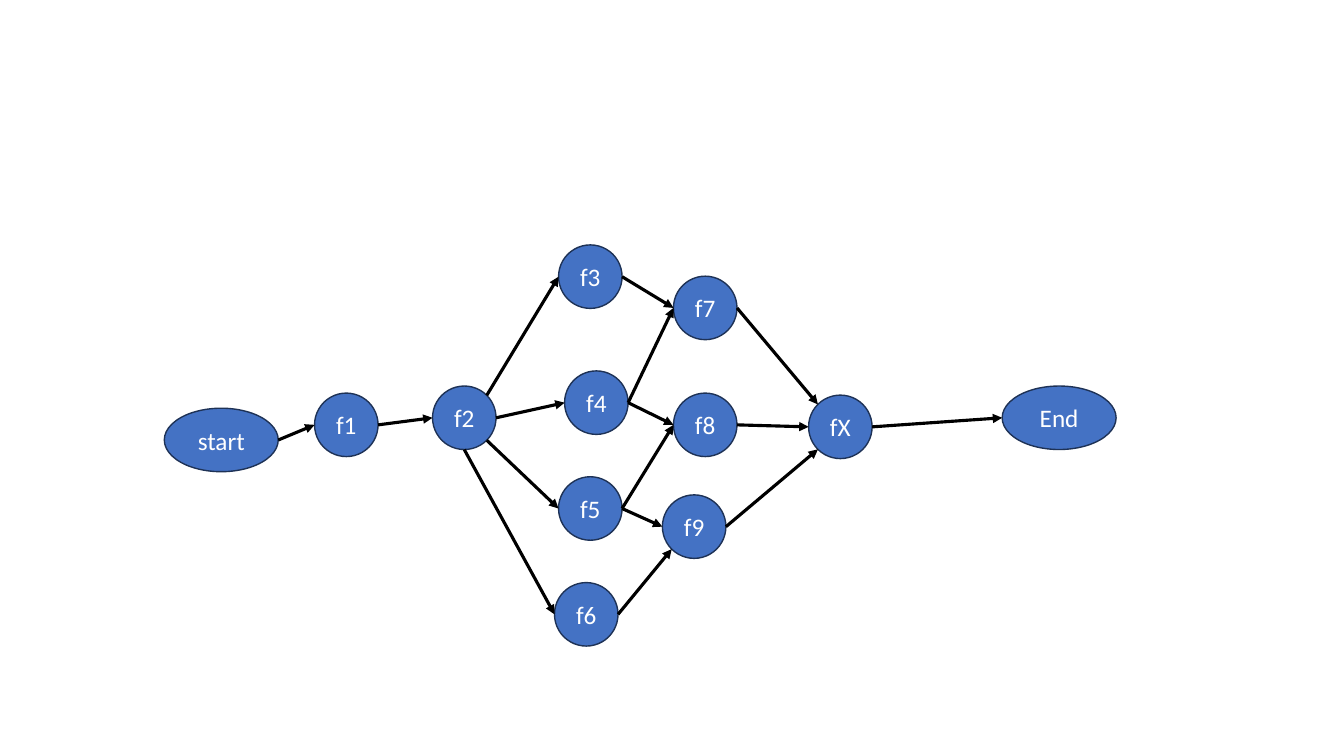
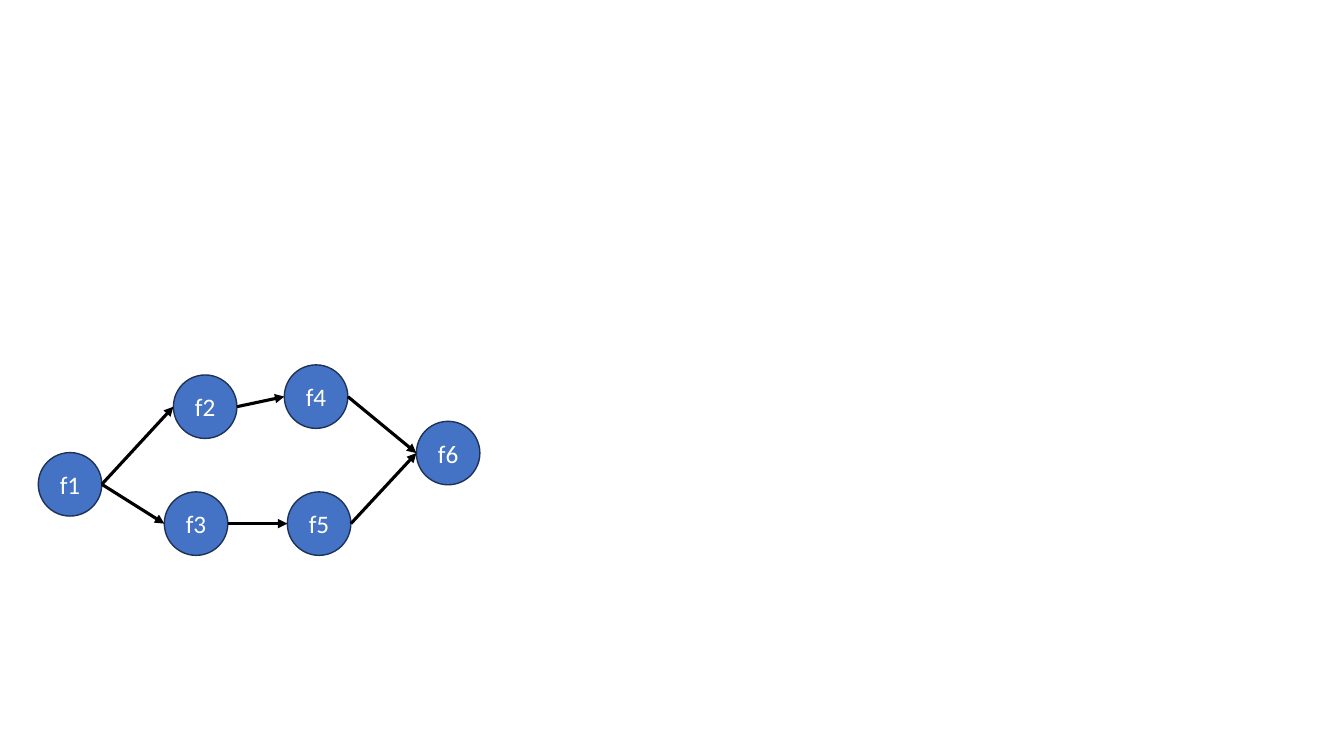
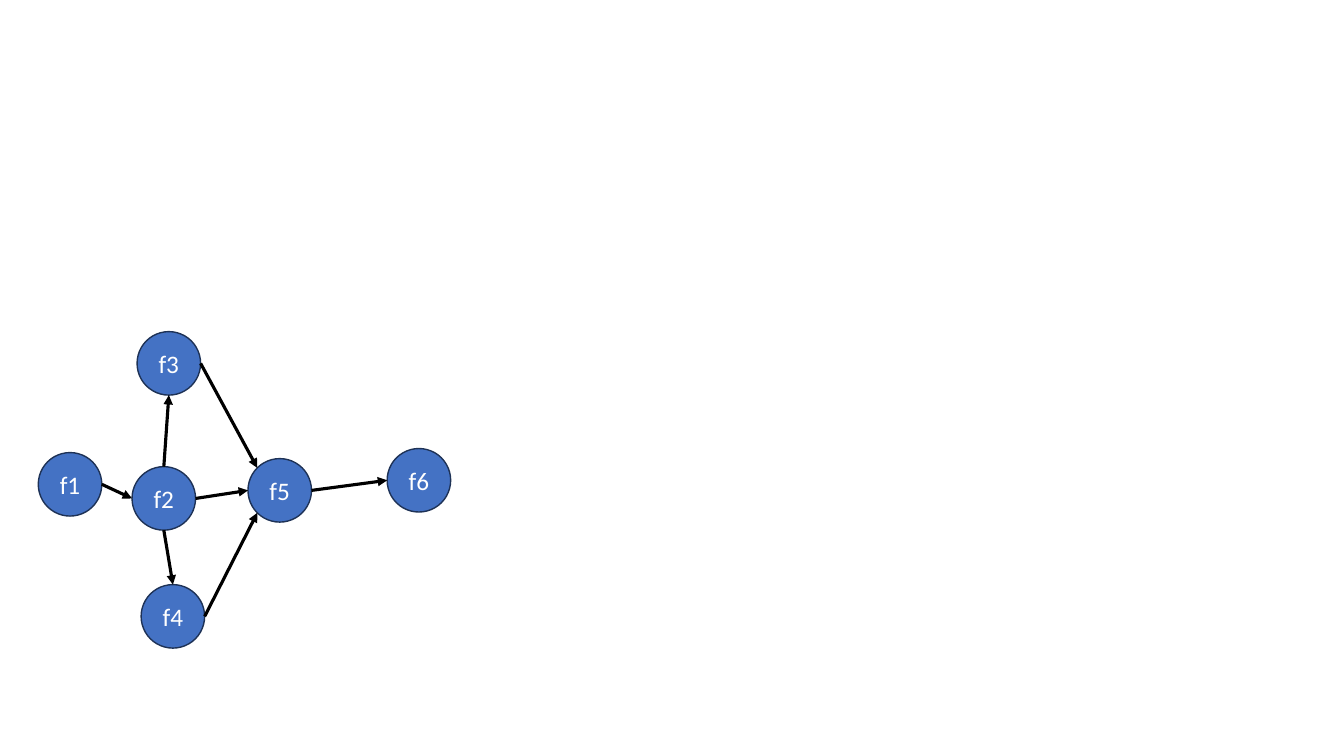
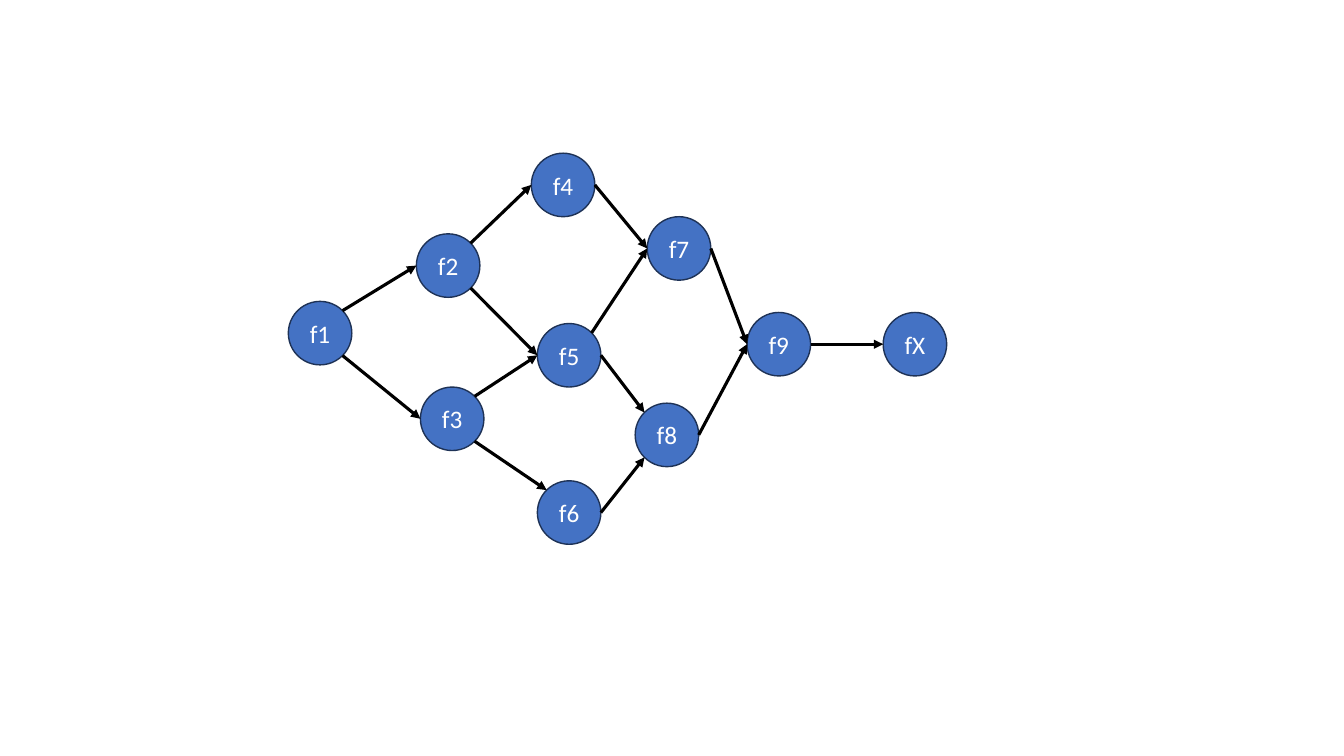
from dataclasses import dataclass
from enum import IntEnum
from math import cos, radians, sin

from pptx import Presentation
from pptx.dml.color import RGBColor
from pptx.enum.shapes import MSO_CONNECTOR as Line, MSO_SHAPE as Form
from pptx.enum.text import MSO_ANCHOR as Anchor, PP_ALIGN as Align
from pptx.oxml.ns import qn
from pptx.shapes.autoshape import Shape
from pptx.slide import Slide
from pptx.util import Inches, Pt
from lxml.etree import SubElement

BLUE = RGBColor(0x44, 0x72, 0xC4)
NAVY = RGBColor(0x1E, 0x32, 0x56)
BLACK = RGBColor(0, 0, 0)
WHITE = RGBColor(255, 255, 255)
FONT = "Calibri"
SIZE = 0.63
WIDE = 1.13


class Site(IntEnum):
    """Connection sites of an ellipse, counterclockwise from the top."""

    TOP = 0
    NW = 1
    LEFT = 2
    SW = 3
    BASE = 4
    SE = 5
    RIGHT = 6
    NE = 7


@dataclass(frozen=True)
class Node:
    """An oval step of a graph, placed in inches."""

    name: str
    left: float
    top: float
    width: float = SIZE


@dataclass(frozen=True)
class Edge:
    """An arrow between two named nodes."""

    tail: str
    head: str
    start: Site = Site.RIGHT
    end: Site = Site.LEFT


@dataclass(frozen=True)
class Graph:
    """The nodes and edges of one slide."""

    nodes: list[Node]
    edges: list[Edge]


GRAPHS = [
    Graph(
        [
            Node("start", 1.63, 4.05, WIDE),
            Node("f1", 3.12, 3.9),
            Node("f2", 4.29, 3.83),
            Node("f3", 5.54, 2.43),
            Node("f4", 5.6, 3.68),
            Node("f5", 5.54, 4.73),
            Node("f6", 5.5, 5.78),
            Node("f7", 6.68, 2.74),
            Node("f8", 6.68, 3.9),
            Node("f9", 6.57, 4.91),
            Node("fX", 8.02, 3.92),
            Node("End", 9.94, 3.83, WIDE),
        ],
        [
            Edge("start", "f1"),
            Edge("f1", "f2"),
            Edge("f2", "f3", start=Site.NE),
            Edge("f2", "f4"),
            Edge("f2", "f5", start=Site.SE),
            Edge("f2", "f6", start=Site.BASE),
            Edge("f3", "f7"),
            Edge("f4", "f7"),
            Edge("f4", "f8"),
            Edge("f5", "f8"),
            Edge("f5", "f9"),
            Edge("f6", "f9", end=Site.SW),
            Edge("f7", "fX", end=Site.NW),
            Edge("f8", "fX"),
            Edge("f9", "fX", end=Site.SW),
            Edge("fX", "End"),
        ],
    ),
    Graph(
        [
            Node("f1", 0.38, 4.49),
            Node("f2", 1.72, 3.72),
            Node("f3", 1.63, 4.88),
            Node("f4", 2.82, 3.62),
            Node("f5", 2.85, 4.88),
            Node("f6", 4.13, 4.18),
        ],
        [
            Edge("f1", "f2"),
            Edge("f1", "f3"),
            Edge("f2", "f4"),
            Edge("f3", "f5"),
            Edge("f4", "f6"),
            Edge("f5", "f6"),
        ],
    ),
    Graph(
        [
            Node("f1", 0.38, 4.49),
            Node("f2", 1.31, 4.63),
            Node("f3", 1.36, 3.29),
            Node("f4", 1.4, 5.8),
            Node("f5", 2.46, 4.55),
            Node("f6", 3.84, 4.45),
        ],
        [
            Edge("f1", "f2"),
            Edge("f2", "f3", Site.TOP, Site.BASE),
            Edge("f2", "f4", Site.BASE, Site.TOP),
            Edge("f2", "f5"),
            Edge("f3", "f5", end=Site.NW),
            Edge("f4", "f5", end=Site.SW),
            Edge("f5", "f6"),
        ],
    ),
    Graph(
        [
            Node("f1", 2.86, 2.99),
            Node("f2", 4.13, 2.32),
            Node("f3", 4.17, 3.84),
            Node("f4", 5.27, 1.52),
            Node("f5", 5.33, 3.21),
            Node("f6", 5.33, 4.77),
            Node("f7", 6.42, 2.15),
            Node("f8", 6.3, 4),
            Node("f9", 7.41, 3.1),
            Node("fX", 8.76, 3.1),
        ],
        [
            Edge("f1", "f2", start=Site.NE),
            Edge("f1", "f3", start=Site.SE),
            Edge("f2", "f4", start=Site.NE),
            Edge("f2", "f5", start=Site.SE),
            Edge("f3", "f5", start=Site.NE),
            Edge("f3", "f6", Site.SE, Site.NW),
            Edge("f4", "f7"),
            Edge("f5", "f7", start=Site.NE),
            Edge("f5", "f8", end=Site.NW),
            Edge("f6", "f8", end=Site.SW),
            Edge("f7", "f9"),
            Edge("f8", "f9"),
            Edge("f9", "fX"),
        ],
    ),
]


def add_node(slide: Slide, node: Node) -> Shape:
    """Draw one labelled oval."""
    oval = slide.shapes.add_shape(
        Form.OVAL, Inches(node.left), Inches(node.top), Inches(node.width), Inches(SIZE)
    )
    oval.shadow.inherit = False
    oval.fill.solid()
    oval.fill.fore_color.rgb = BLUE
    oval.line.color.rgb = NAVY
    oval.line.width = Pt(1)
    frame = oval.text_frame
    frame.vertical_anchor = Anchor.MIDDLE
    frame.text = node.name
    para = frame.paragraphs[0]
    para.alignment = Align.CENTER
    para.font.name = FONT
    para.font.size = Pt(18)
    para.font.color.rgb = WHITE
    return oval


def site_point(oval: Shape, site: Site) -> tuple[int, int]:
    """Return the place of a connection site on an oval."""
    angle = radians(90 + 45 * site)
    return (
        round(oval.left + oval.width / 2 * (1 + cos(angle))),
        round(oval.top + oval.height / 2 * (1 - sin(angle))),
    )


def add_edge(slide: Slide, edge: Edge, ovals: dict[str, Shape]) -> None:
    """Draw one arrow and attach it to its two ovals."""
    tail, head = ovals[edge.tail], ovals[edge.head]
    arrow = slide.shapes.add_connector(
        Line.STRAIGHT, *site_point(tail, edge.start), *site_point(head, edge.end)
    )
    arrow.line.color.rgb = BLACK
    arrow.line.width = Pt(2.25)
    SubElement(arrow.line._get_or_add_ln(), qn("a:tailEnd"), type="triangle")
    SubElement(arrow._element.spPr, qn("a:effectLst"))
    links = arrow._element.nvCxnSpPr.cNvCxnSpPr
    for tag, oval, site in (("a:stCxn", tail, edge.start), ("a:endCxn", head, edge.end)):
        SubElement(links, qn(tag), id=str(oval.shape_id), idx=str(int(site)))


def main() -> None:
    """Build one slide for each graph and save the deck."""
    deck = Presentation()
    deck.slide_width, deck.slide_height = Inches(13.33), Inches(7.5)
    blank = deck.slide_layouts[6]
    for graph in GRAPHS:
        slide = deck.slides.add_slide(blank)
        ovals = {node.name: add_node(slide, node) for node in graph.nodes}
        for edge in graph.edges:
            add_edge(slide, edge, ovals)
    deck.save("out.pptx")


if __name__ == "__main__":
    main()
